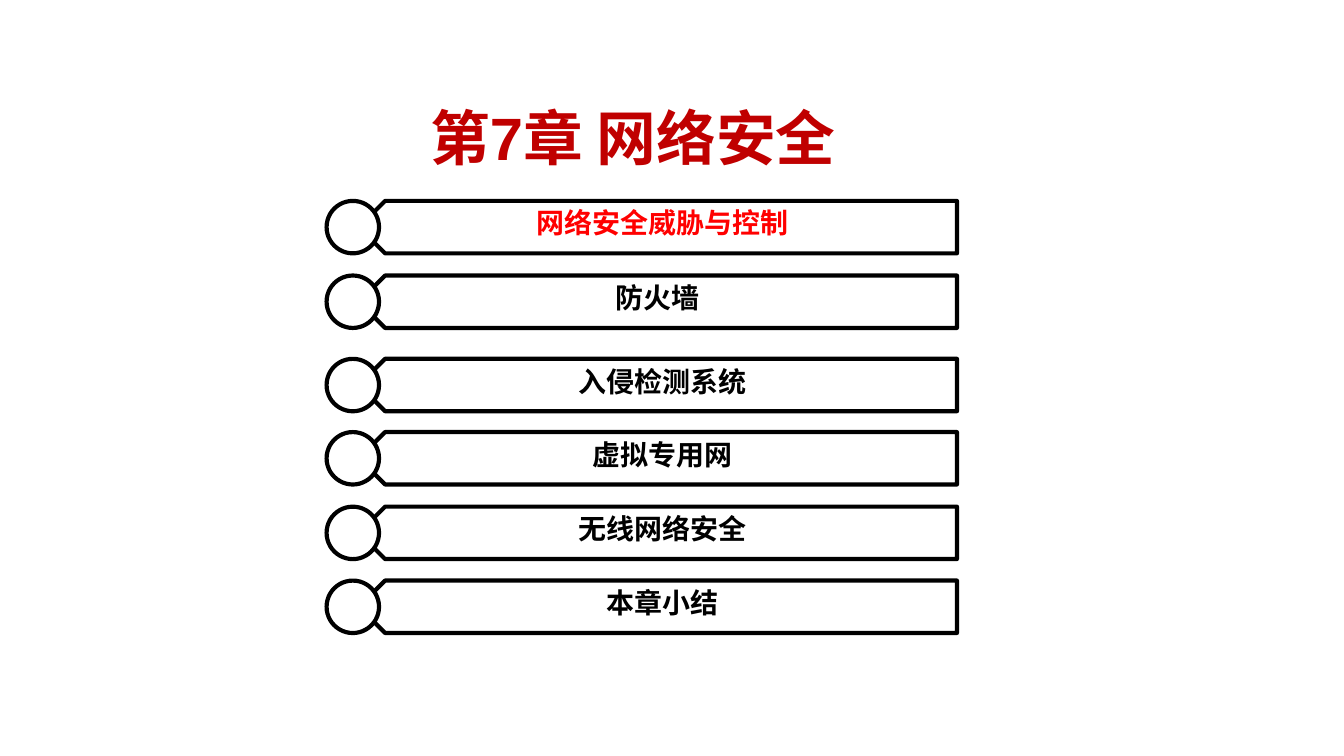
from lxml import etree
from pptx import Presentation
from pptx import util as u
from pptx.dml.color import RGBColor
from pptx.enum import shapes, text
from pptx.oxml import ns

PX = 4572
WHITE = RGBColor(0xFF, 0xFF, 0xFF)
BLACK = RGBColor(0, 0, 0)
RED = RGBColor(0xFF, 0, 0)
DARK_RED = RGBColor(0xC0, 0, 0)
CJK_FONT = "Noto Sans CJK SC"

ROW_LEFT, ROW_WIDTH, ROW_HEIGHT = 486, 938, 78
BAR_OFFSET = 48
LABEL_OFFSET, LABEL_HEIGHT = 265, 70

SECTIONS = [
    ("网络安全威胁与控制", 299, -1, 470, RED),
    ("防火墙", 410, -1, 454, BLACK),
    ("入侵检测系统", 534, 0, 470, BLACK),
    ("虚拟专用网", 643, 0, 470, BLACK),
    ("无线网络安全", 754, -1, 470, BLACK),
    ("本章小结", 864, -1, 470, BLACK),
]


def scaled(*lengths):
    return [u.Emu(length * PX) for length in lengths]


def write(frame, wording, latin, size, color):
    frame.text = wording
    frame.word_wrap = True
    paragraph = frame.paragraphs[0]
    paragraph.alignment = text.PP_ALIGN.CENTER
    for run in paragraph.runs:
        run.font.name = latin
        run.font.size = u.Pt(size)
        run.font.bold = True
        run.font.color.rgb = color
        latin_tag = run.font._element.find(ns.qn("a:latin"))
        latin_tag.addnext(etree.Element(ns.qn("a:ea"), typeface=CJK_FONT))


def add_title(slide, left, top, width, height):
    title = slide.shapes.title
    title.left, title.top, title.width, title.height = scaled(left, top, width, height)
    title.text_frame.vertical_anchor = text.MSO_ANCHOR.MIDDLE
    write(title.text_frame, "第7章 网络安全", "Arial", 32, DARK_RED)


def add_outlined(row, kind, *box):
    outlined = row.shapes.add_shape(kind, *scaled(*box))
    outlined.shadow.inherit = False
    outlined.fill.solid()
    outlined.fill.fore_color.rgb = WHITE
    outlined.line.color.rgb = BLACK
    outlined.line.width = u.Pt(2.25)
    return outlined


def add_section(slide, left, top, width, height, wording, label_shift, label_width, color):
    row = slide.shapes.add_group_shape()
    bar = add_outlined(row, shapes.MSO_SHAPE.PENTAGON,
                       left + BAR_OFFSET, top, width - BAR_OFFSET, height)
    bar.rotation = 180
    add_outlined(row, shapes.MSO_SHAPE.OVAL, left, top, height, height)
    label = row.shapes.add_textbox(
        *scaled(left + LABEL_OFFSET, top + label_shift, label_width, LABEL_HEIGHT))
    frame = label.text_frame
    frame.auto_size = text.MSO_AUTO_SIZE.SHAPE_TO_FIT_TEXT
    frame.margin_left, frame.margin_right = scaled(15, 15)
    frame.margin_top, frame.margin_bottom = scaled(8, 8)
    write(frame, wording, CJK_FONT, 15, color)


def main():
    deck = Presentation()
    deck.slide_width, deck.slide_height = scaled(2000, 1125)
    slide = deck.slides.add_slide(deck.slide_layouts[5])
    add_title(slide, 328, 125, 1228, 156)
    for wording, top, label_shift, label_width, color in SECTIONS:
        add_section(slide, ROW_LEFT, top, ROW_WIDTH, ROW_HEIGHT,
                    wording, label_shift, label_width, color)
    deck.save("out.pptx")


if __name__ == "__main__":
    main()
